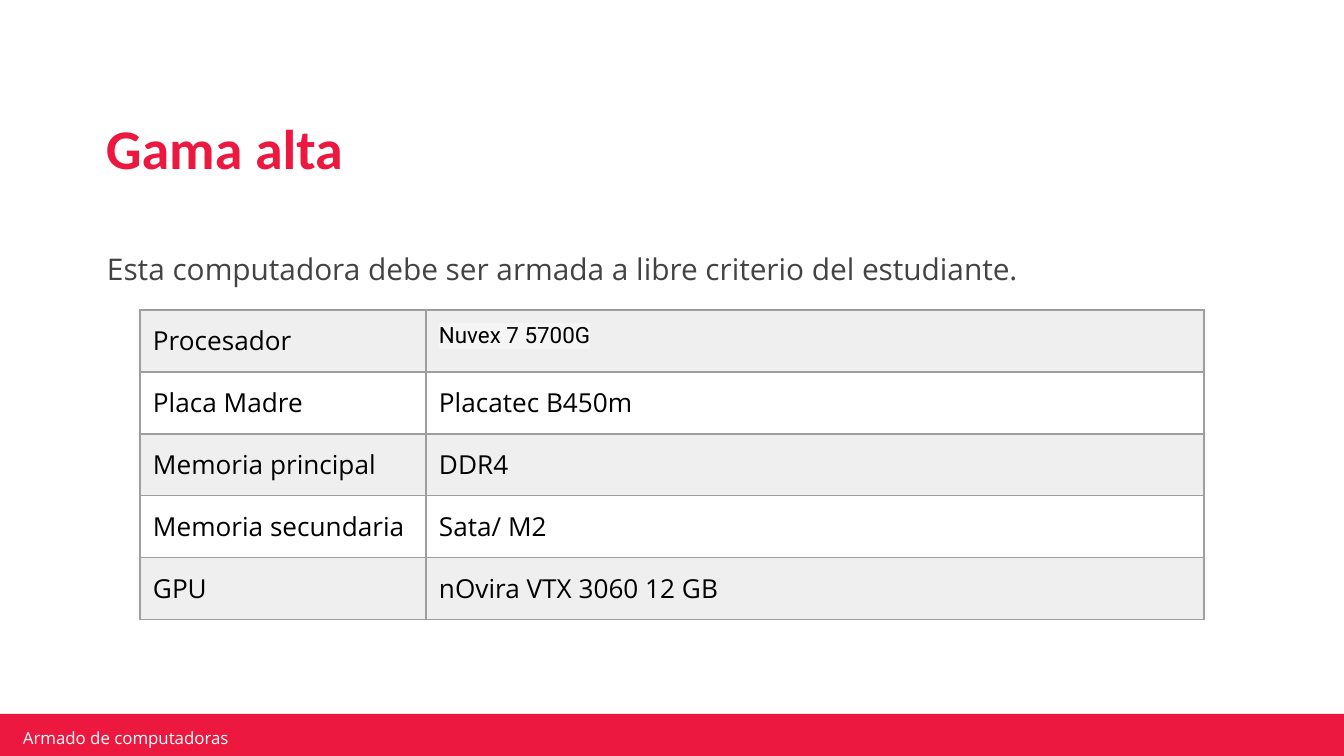
from lxml.etree import SubElement
from pptx import Presentation
from pptx.dml.color import RGBColor
from pptx.enum.dml import MSO_LINE
from pptx.enum.shapes import MSO_CONNECTOR as Connector, MSO_SHAPE as Shape
from pptx.enum.text import MSO_ANCHOR as Anchor
from pptx.oxml import parse_xml
from pptx.oxml.ns import nsdecls, qn
from pptx.util import Emu, Pt

RED, PINK, WHITE, BLACK = "EC183F", "FCD8D6", "FFFFFF", "000000"
STRIPE, BORDER, GREY, MARKER = "EFEFEF", "9E9E9E", "434343", "F5F5F5"
BODY, HEADING, SPECIAL = "Open Sans", "Calibri", "Roboto"


def px(length):
    return Emu(round(length * 914400 / 134.4))


def color(value):
    return RGBColor.from_string(value)


def write(frame, text, size=14, font=BODY, ink=BLACK, bold=False, spacing=1.0, marker=None):
    para = frame.paragraphs[0]
    para.line_spacing = spacing
    span = para.add_run()
    span.text = text
    span.font.size = Pt(size)
    span.font.name = font
    span.font.bold = bold
    span.font.color.rgb = color(ink)
    if marker:
        highlight = parse_xml(f'<a:highlight {nsdecls("a")}><a:srgbClr val="{marker}"/></a:highlight>')
        span.font.fill._xPr.find(qn("a:latin")).addprevious(highlight)


def set_margins(target, across, down):
    target.margin_left = target.margin_right = px(across)
    target.margin_top = target.margin_bottom = px(down)


def outline_cell(cell):
    properties = cell._tc.get_or_add_tcPr()
    for position, side in enumerate(("lnL", "lnR", "lnT", "lnB")):
        properties.insert(position, parse_xml(
            f'<a:{side} {nsdecls("a")} w="{Pt(0.75)}"><a:solidFill>'
            f'<a:srgbClr val="{BORDER}"/></a:solidFill></a:{side}>'))


class SlideBuilder:
    """Draws styled elements on the current slide."""

    def __init__(self, slide):
        self.slide = slide
        slide.background.fill.solid()
        slide.background.fill.fore_color.rgb = color(WHITE)

    def line(self, x1, y1, x2, y2, ink):
        rule = self.slide.shapes.add_connector(Connector.STRAIGHT, px(x1), px(y1), px(x2), px(y2))
        rule.line.color.rgb = color(ink)
        rule.line.width = Pt(0.75)
        rule.line.dash_style = MSO_LINE.ROUND_DOT
        SubElement(rule._element.spPr, qn("a:effectLst"))

    def bar(self, left, top, width, height, fill):
        box = self.slide.shapes.add_shape(Shape.RECTANGLE, px(left), px(top), px(width), px(height))
        box.shadow.inherit = False
        box.fill.solid()
        box.fill.fore_color.rgb = color(fill)
        box.line.fill.background()

    def text(self, left, top, width, height, text, margins, anchor=Anchor.MIDDLE, **style):
        box = self.slide.shapes.add_textbox(px(left), px(top), px(width), px(height))
        frame = box.text_frame
        frame.word_wrap = True
        frame.vertical_anchor = anchor
        set_margins(frame, *margins)
        write(frame, text, **style)

    def table(self, left, top, widths, row_height, rows, styles):
        table = self.slide.shapes.add_table(
            len(rows), len(widths), px(left), px(top), px(sum(widths)), px(row_height * len(rows))).table
        for column, width in zip(table.columns, widths):
            column.width = px(width)
        for row_index, values in enumerate(rows):
            for column_index, value in enumerate(values):
                cell = table.cell(row_index, column_index)
                cell.fill.solid()
                cell.fill.fore_color.rgb = color(WHITE if row_index % 2 else STRIPE)
                set_margins(cell, 13, 13)
                outline_cell(cell)
                write(cell.text_frame, value, **styles.get((row_index, column_index), {}))


def main():
    deck = Presentation()
    deck.slide_width, deck.slide_height = px(1344), px(756)
    page = SlideBuilder(deck.slides.add_slide(deck.slide_layouts[6]))
    page.line(-3, 715, 1347, 715, PINK)
    page.bar(-3, 714, 1348, 48, RED)
    page.text(16, 728, 321, 20, "Armado de computadoras", (7, 3), size=9, ink=WHITE)
    page.text(94, 89, 1129, 125, "Gama alta", (12, 6),
              size=30, font=HEADING, ink=RED, bold=True, spacing=0.9)
    components = [
        ("Procesador", "Nuvex 7 5700G"),
        ("Placa Madre", "Placatec B450m"),
        ("Memoria principal", "DDR4"),
        ("Memoria secundaria", "Sata/ M2"),
        ("GPU", "nOvira VTX 3060 12 GB"),
    ]
    page.table(140, 310, (286, 778), 62, components,
               {(0, 1): {"size": 12, "font": SPECIAL, "marker": MARKER}})
    page.text(94, 226, 1187, 40, "Esta computadora debe ser armada a libre criterio del estudiante.",
              (13, 7), Anchor.TOP, size=16, ink=GREY, spacing=1.5)
    deck.save("out.pptx")


if __name__ == "__main__":
    main()
